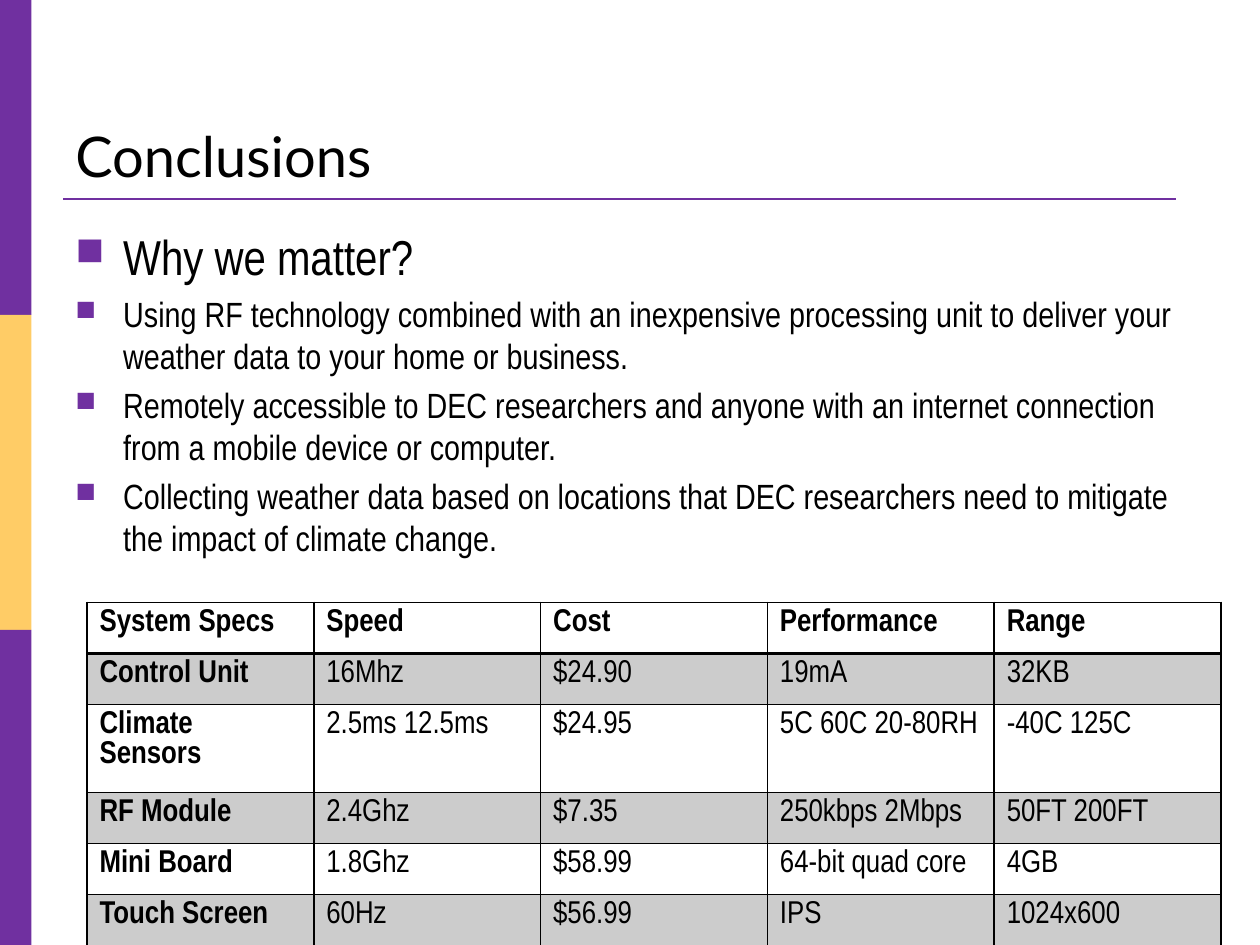
from lxml import etree
from pptx import Presentation
from pptx.dml.color import RGBColor
from pptx.enum import shapes, text
from pptx.oxml import parse_xml
from pptx.oxml.ns import nsdecls, qn
from pptx.util import Inches, Pt

PURPLE, GOLD, BLACK = "7030A0", "FFCC66", "000000"
BODY_FONT = "Arial Narrow"
BULLETS = [
    ("Why we matter?", 28),
    ("Using RF technology combined with an inexpensive processing unit "
     "to deliver your weather data to your home or business.", 20),
    ("Remotely accessible to DEC researchers and anyone with an internet "
     "connection from a mobile device or computer.", 20),
    ("Collecting weather data based on locations that DEC researchers need "
     "to mitigate the impact of climate change.", 20),
]
SPECS = [
    ["System Specs", "Speed", "Cost", "Performance", "Range"],
    ["Control Unit", "16Mhz", "$24.90", "19mA", "32KB"],
    ["Climate Sensors", "2.5ms 12.5ms", "$24.95", "5C 60C 20-80RH", "-40C 125C"],
    ["RF Module", "2.4Ghz", "$7.35", "250kbps 2Mbps", "50FT 200FT"],
    ["Mini Board", "1.8Ghz", "$58.99", "64-bit quad core", "4GB"],
    ["Touch Screen", "60Hz", "$56.99", "IPS", "1024x600"],
]


def color(value):
    """Turn a hex string into a colour."""
    return RGBColor.from_string(value)


def style_text(para, size, font, bold=False):
    """Format every run of a paragraph."""
    for span in para.runs:
        span.font.size = Pt(size)
        span.font.name = font
        span.font.bold = bold
        span.font.color.rgb = color(BLACK)


def add_side_bar(page, left, top, width, height):
    """Stack three equal colour bands in the box."""
    band = height / 3
    for index, fill in enumerate([PURPLE, GOLD, PURPLE]):
        box = page.shapes.add_shape(
            shapes.MSO_SHAPE.RECTANGLE, Inches(left), Inches(top + index * band),
            Inches(width), Inches(band))
        box.shadow.inherit = False
        box.fill.solid()
        box.fill.fore_color.rgb = color(fill)
        box.line.fill.background()


def add_title(page, left, top, width, height):
    """Place the title at the bottom of the box, with a rule below it."""
    box = page.shapes.add_textbox(
        Inches(left), Inches(top), Inches(width), Inches(height))
    frame = box.text_frame
    frame.word_wrap = True
    frame.vertical_anchor = text.MSO_ANCHOR.BOTTOM
    frame.text = "Conclusions"
    style_text(frame.paragraphs[0], 32, "Lato")
    rule_top = Inches(top + height + 0.03)
    rule = page.shapes.add_connector(
        shapes.MSO_CONNECTOR.STRAIGHT, Inches(left), rule_top,
        Inches(left + width - 0.17), rule_top)
    rule.line.color.rgb = color(PURPLE)
    rule.line.width = Pt(1.5)
    etree.SubElement(rule._element.spPr, qn("a:effectLst"))


def set_bullet(para):
    """Give a paragraph a hanging square bullet and relative spacing."""
    properties = para._p.get_or_add_pPr()
    properties.set("marL", str(Inches(0.38)))
    properties.set("indent", str(-Inches(0.38)))
    for part in (
        '<a:spcBef {}><a:spcPct val="20000"/></a:spcBef>',
        '<a:buClr {}><a:srgbClr val="' + PURPLE + '"/></a:buClr>',
        '<a:buSzPct {} val="80000"/>',
        '<a:buChar {} char="■"/>',
    ):
        properties.append(parse_xml(part.format(nsdecls("a"))))


def add_bullets(page, left, top, width, height):
    """Place the bulleted arguments in the box."""
    box = page.shapes.add_textbox(
        Inches(left), Inches(top), Inches(width), Inches(height))
    frame = box.text_frame
    frame.word_wrap = True
    frame.text = "\n".join(words for words, _ in BULLETS)
    for para, (_, size) in zip(frame.paragraphs, BULLETS):
        set_bullet(para)
        style_text(para, size, BODY_FONT)


def set_borders(cell, top_width, bottom_width):
    """Draw black lines around a cell."""
    widths = {"lnL": 1, "lnR": 1, "lnT": top_width, "lnB": bottom_width}
    for side, width in widths.items():
        cell._tc.get_or_add_tcPr().append(parse_xml(
            f'<a:{side} {nsdecls("a")} w="{Pt(width)}"><a:solidFill>'
            f'<a:srgbClr val="{BLACK}"/></a:solidFill></a:{side}>'))


def shade(cell):
    """Fill a cell with black at 20% opacity."""
    cell.fill.solid()
    cell.fill.fore_color.rgb = color(BLACK)
    tint = cell._tc.tcPr.find(qn("a:solidFill")).find(qn("a:srgbClr"))
    etree.SubElement(tint, qn("a:alpha")).set("val", "20000")


def add_specs(page, left, top, width, height):
    """Place the table of system specs in the box."""
    table = page.shapes.add_table(
        len(SPECS), len(SPECS[0]), Inches(left), Inches(top),
        Inches(width), Inches(height)).table
    table.horz_banding = False
    for row, values in enumerate(SPECS):
        for column, value in enumerate(values):
            cell = table.cell(row, column)
            cell.text = value
            style_text(cell.text_frame.paragraphs[0], 18, BODY_FONT,
                       row == 0 or column == 0)
            set_borders(cell, 2 if row == 1 else 1, 2 if row == 0 else 1)
            if row % 2:
                shade(cell)
            else:
                cell.fill.background()


def main():
    """Build the slide and save the deck."""
    deck = Presentation()
    deck.slide_width, deck.slide_height = Inches(10), Inches(7.5)
    page = deck.slides.add_slide(deck.slide_layouts[6])
    add_side_bar(page, 0, 0, 0.25, 7.5)
    add_title(page, 0.5, 0.3, 9, 1.25)
    add_bullets(page, 0.5, 1.75, 9, 2.83)
    add_specs(page, 0.69, 4.78, 9, 2.43)
    deck.save("out.pptx")


if __name__ == "__main__":
    main()
